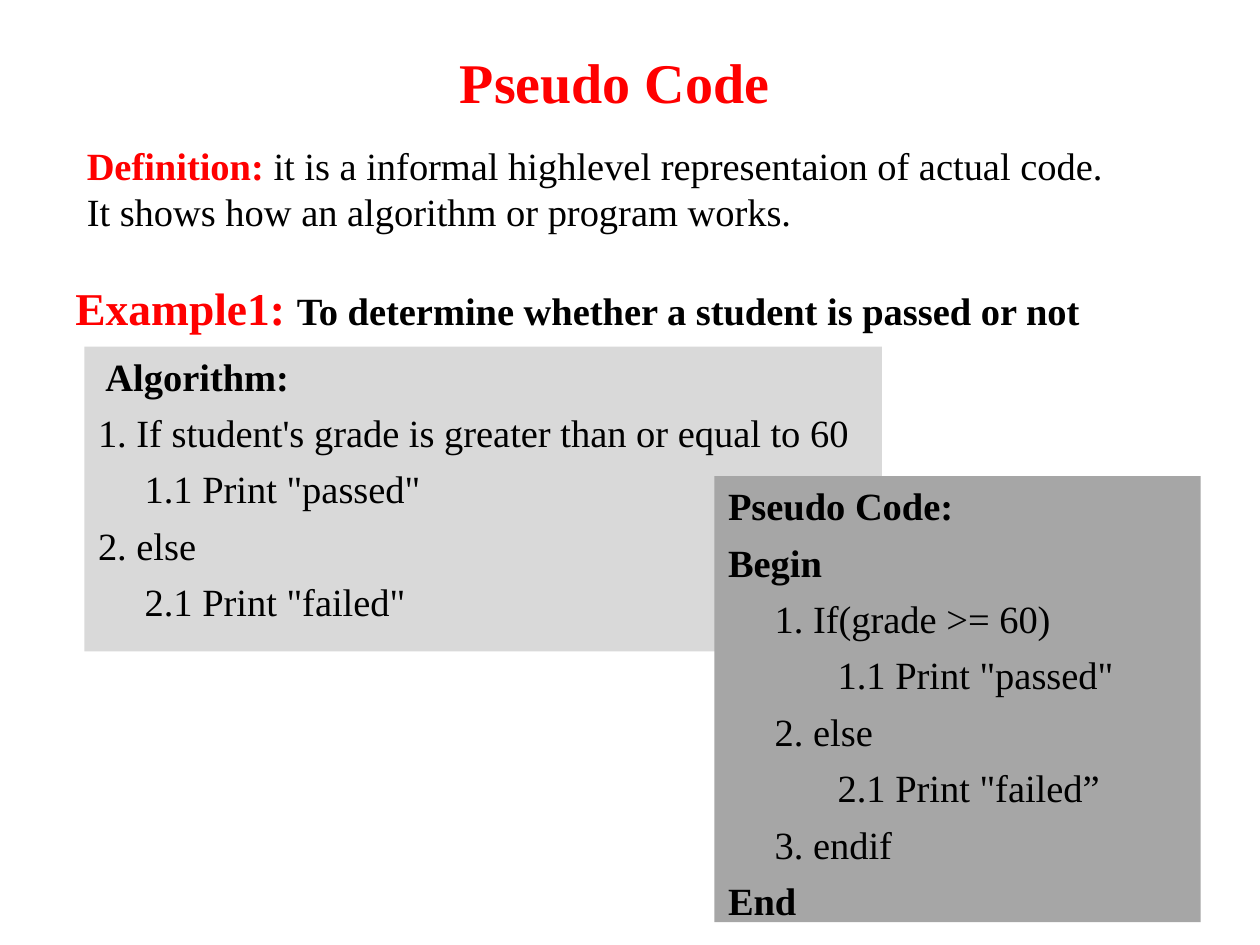
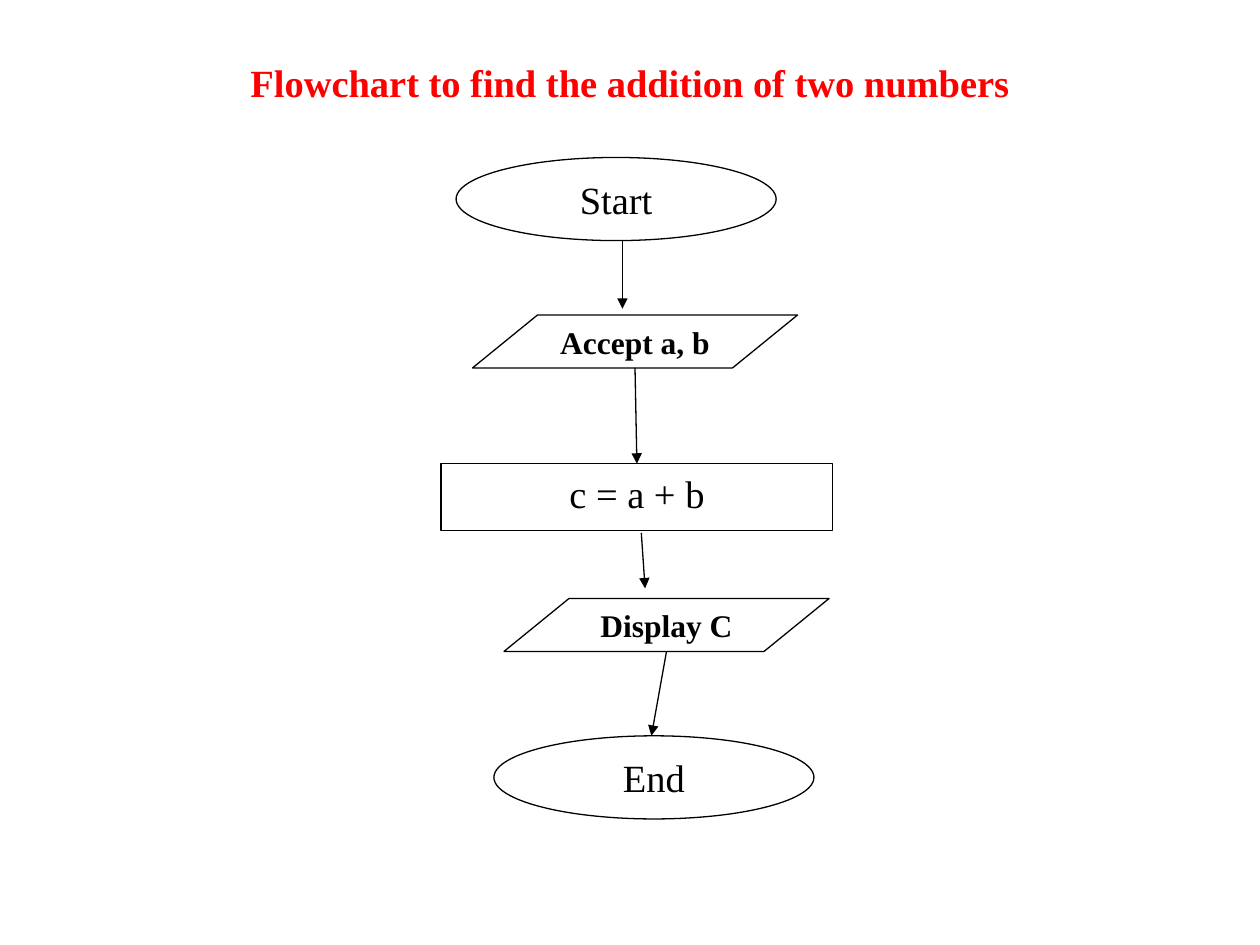
from pptx import Presentation
from pptx.dml.color import RGBColor
from pptx.enum.shapes import MSO_CONNECTOR, MSO_SHAPE
from pptx.enum.text import MSO_ANCHOR, PP_ALIGN
from pptx.oxml.ns import qn
from pptx.util import Inches, Pt
from lxml import etree

RED = RGBColor(0xFF, 0, 0)
BLACK = RGBColor(0, 0, 0)
WHITE = RGBColor(0xFF, 0xFF, 0xFF)
LIGHT = RGBColor(0xD9, 0xD9, 0xD9)
GRAY = RGBColor(0xA6, 0xA6, 0xA6)
FACE = "Times New Roman"
RECT, OVAL, DATA = MSO_SHAPE.RECTANGLE, MSO_SHAPE.OVAL, MSO_SHAPE.FLOWCHART_DATA
LINE = MSO_CONNECTOR.STRAIGHT
TOP, MID = MSO_ANCHOR.TOP, MSO_ANCHOR.MIDDLE
LEFT, MIDDLE = PP_ALIGN.LEFT, PP_ALIGN.CENTER


def write(shape, paras, form, wrap=True, anchor=TOP, hang=False):
    """Fill a shape with paragraphs, each a list of (text, size, colour, bold)."""
    frame = shape.text_frame
    frame.word_wrap = wrap
    frame.vertical_anchor = anchor
    for i, runs in enumerate(paras):
        para = frame.paragraphs[0] if i == 0 else frame.add_paragraph()
        for name, value in form.items():
            setattr(para, name, value)
        if hang:
            props = para._p.get_or_add_pPr()
            props.set("marL", str(Inches(0.38)))
            props.set("indent", str(Inches(-0.37)))
        for text, size, color, bold in runs:
            run = para.add_run()
            run.text = text
            run.font.color.rgb = color
            for name, value in {"name": FACE, "size": Pt(size), "bold": bold}.items():
                setattr(run.font, name, value)


def block(slide, kind, box, fill, edge=None):
    """Add a flat shape with an optional thin outline."""
    shape = slide.shapes.add_shape(kind, *map(Inches, box))
    shape.shadow.inherit = False
    shape.fill.solid()
    shape.fill.fore_color.rgb = fill
    if edge is None:
        shape.line.fill.background()
    else:
        shape.line.color.rgb = edge
        shape.line.width = Pt(0.75)
    return shape


deck = Presentation()
deck.slide_width, deck.slide_height = Inches(10), Inches(7.5)
code, flow = [deck.slides.add_slide(deck.slide_layouts[6]) for _ in range(2)]

# Titles
for slide, box, text, size in [
    (code, (0.42, 0.33, 8.92, 0.64), "Pseudo Code", 32),
    (flow, (0.5, 0.42, 9, 0.47), "Flowchart to find the addition of two numbers", 22),
]:
    title = slide.shapes.add_textbox(*map(Inches, box))
    write(title, [[(text, size, RED, True)]], {"alignment": MIDDLE})

# Definition
note = code.shapes.add_textbox(*map(Inches, (0.59, 1.08, 8.28, 0.84)))
write(note, [
    [("Definition:", 22, RED, True),
     (" it is a informal highlevel representaion of actual code.", 22, BLACK, False)],
    [("It shows how an algorithm or program works.", 22, BLACK, False)],
], {"alignment": LEFT}, wrap=False)

# Algorithm and pseudo code panels
heads = {" Algorithm:", "Pseudo Code:", "Begin", "End"}
for box, fill, lines in [
    ((0.67, 2.75, 6.33, 2.42), LIGHT, [
        " Algorithm:",
        "1. If student's grade is greater than or equal to 60",
        "\t1.1 Print \"passed\"",
        "2. else",
        "\t2.1 Print \"failed\"",
    ]),
    ((5.67, 3.78, 3.86, 3.54), GRAY, [
        "Pseudo Code:",
        "Begin",
        "\t1. If(grade >= 60)",
        "\t\t1.1 Print \"passed\"",
        "\t2. else",
        "\t\t2.1 Print \"failed”",
        "\t3. endif",
        "End",
    ]),
]:
    write(block(code, RECT, box, fill),
          [[(text, 22, BLACK, text in heads)] for text in lines],
          {"alignment": LEFT, "space_before": Pt(5.8)}, hang=True)

# Example heading
head = code.shapes.add_textbox(*map(Inches, (0.5, 2.17, 9, 0.67)))
write(head, [[("Example1: ", 26, RED, True),
              ("To determine whether a student is passed or not", 22, BLACK, True)]],
      {"alignment": LEFT})

# Flowchart steps
steps = {}
for text, kind, left, top in [
    ("Start", OVAL, 3.62, 1.25),
    ("Accept a, b", DATA, 3.75, 2.5),
    ("c = a + b", RECT, 3.5, 3.68),
    ("Display C", DATA, 4, 4.75),
    ("End", OVAL, 3.92, 5.84),
]:
    size = {OVAL: (2.54, 0.66), DATA: (2.58, 0.42), RECT: (3.11, 0.53)}[kind]
    step = steps[text] = block(flow, kind, (left, top, *size), WHITE, BLACK)
    data = kind == DATA
    write(step, [[(text, 18 if data else 22, BLACK, data)]],
          {"alignment": MIDDLE, "space_after": Pt(10)},
          wrap=not data, anchor=MID if data else TOP)

# Arrows between the steps
for ends, goal in [
    ((4.94, 1.91, 4.94, 2.45), None),
    ((5.04, 2.92, 5.05, 3.68), "c = a + b"),
    ((5.09, 4.23, 5.12, 4.67), None),
    ((5.29, 5.17, 5.17, 5.84), None),
]:
    arrow = flow.shapes.add_connector(LINE, *map(Inches, ends))
    arrow.line.color.rgb = BLACK
    arrow.line.width = Pt(0.75)
    if goal:
        arrow.end_connect(steps[goal], 0)
    etree.SubElement(arrow.line._get_or_add_ln(), qn("a:tailEnd"), type="triangle")
    etree.SubElement(arrow._element.spPr, qn("a:effectLst"))

deck.save("out.pptx")
